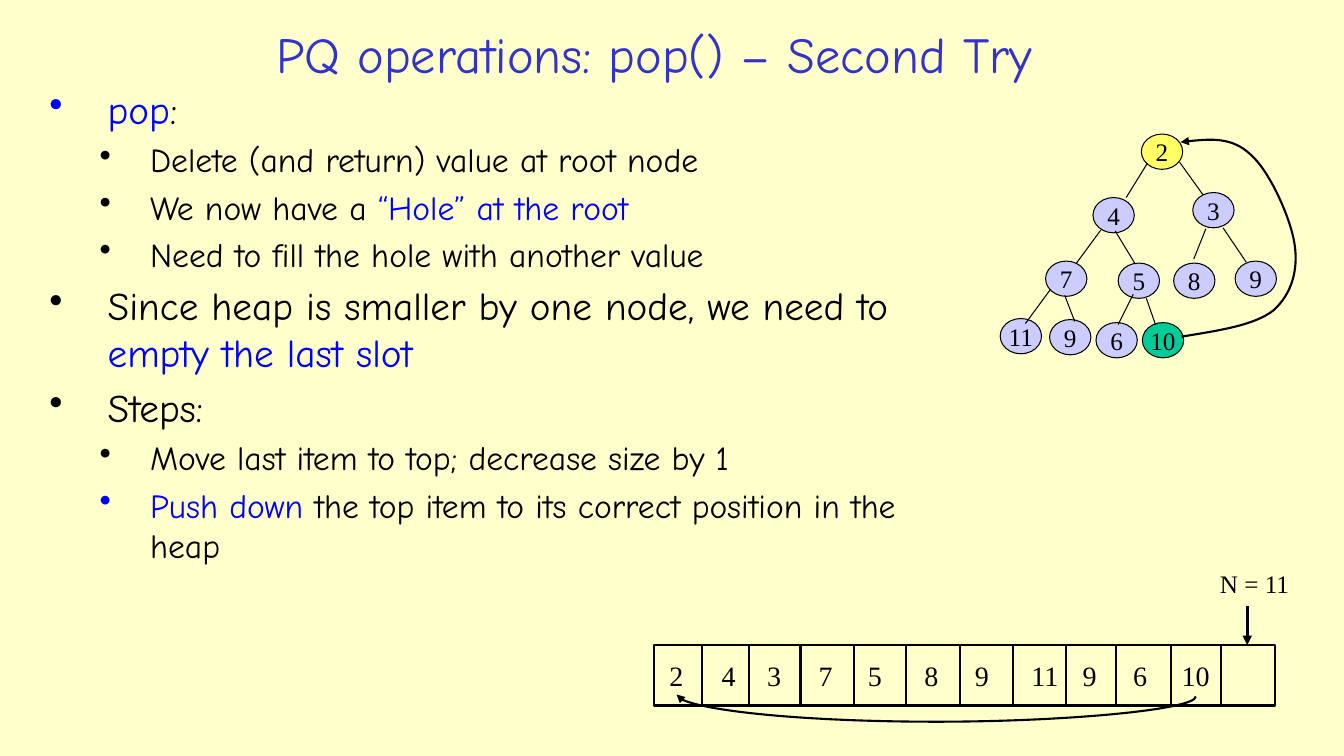
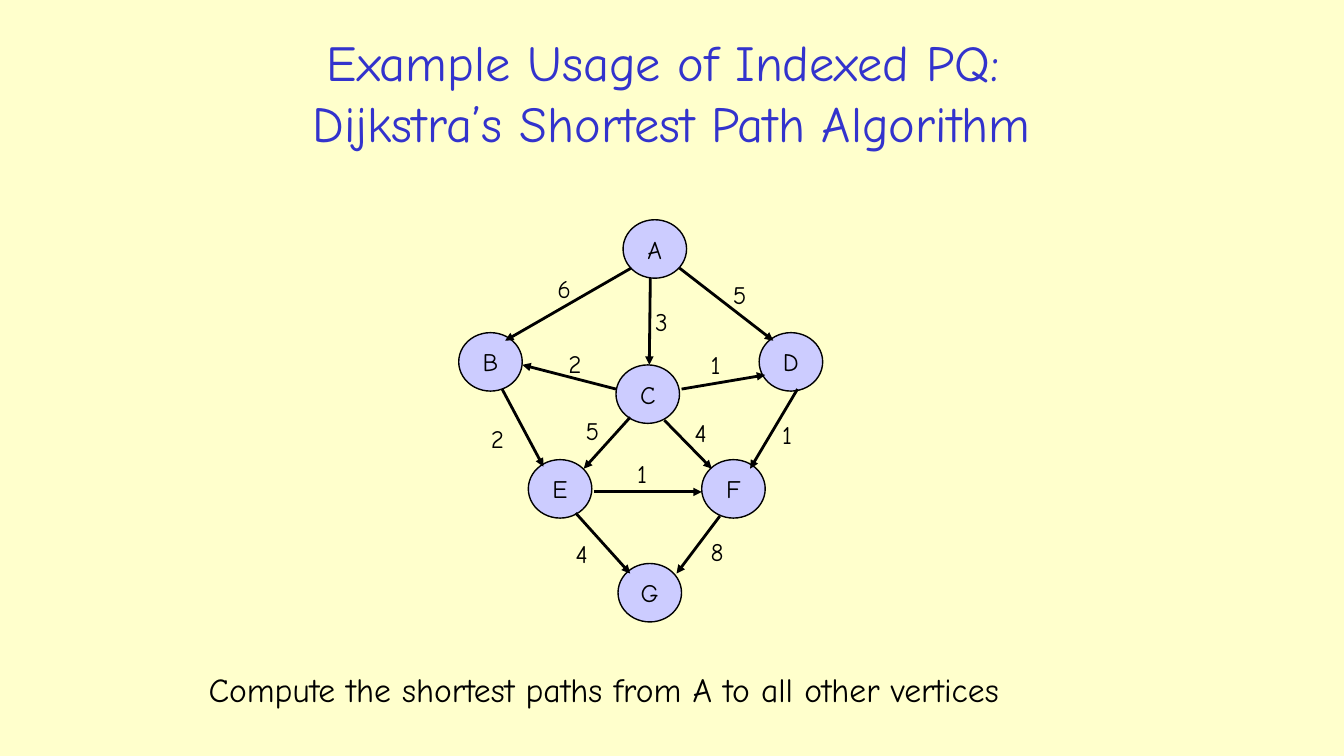
import dataclasses

import lxml.etree
import pptx
import pptx.dml.color
import pptx.enum.shapes
import pptx.enum.text
import pptx.oxml.ns
import pptx.util

Inches = pptx.util.Inches
Pt = pptx.util.Pt
qn = pptx.oxml.ns.qn
ALIGN = pptx.enum.text.PP_ALIGN
MIDDLE = pptx.enum.text.MSO_ANCHOR.MIDDLE
FIT_SHAPE = pptx.enum.text.MSO_AUTO_SIZE.SHAPE_TO_FIT_TEXT
SHAPE = pptx.enum.shapes.MSO_SHAPE
STRAIGHT = pptx.enum.shapes.MSO_CONNECTOR.STRAIGHT
rgb = pptx.dml.color.RGBColor.from_string


@dataclasses.dataclass(frozen=True)
class Theme:
    page = rgb("FFFFCC")
    title = rgb("3333CC")
    ink = rgb("000000")
    accent = rgb("0000FF")
    node = rgb("CCCCFF")
    root = rgb("FFFF66")
    last = rgb("00CC99")
    hand = "Comic Neue"
    serif = "Times New Roman"
    title_size = 36
    body_sizes = (28, 24)
    caption_size = 24
    cell_size = 20
    label_size = 18


theme = Theme()


def write(frame, text, size, font, color=theme.ink, align=ALIGN.LEFT):
    """Replace the text of a frame and format every run of it."""
    frame.text = text
    for paragraph in frame.paragraphs:
        paragraph.alignment = align
        for run in paragraph.runs:
            run.font.size = Pt(size)
            run.font.name = font
            run.font.color.rgb = color


def outline(shape, width, arrow=False):
    """Draw a plain line without shadow, with an arrowhead at its end if asked."""
    shape.line.color.rgb = theme.ink
    shape.line.width = Pt(width)
    properties = shape._element.spPr
    if arrow:
        lxml.etree.SubElement(properties.find(qn("a:ln")), qn("a:tailEnd"), type="triangle")
    lxml.etree.SubElement(properties, qn("a:effectLst"))


prs = pptx.Presentation()
prs.slide_width = Inches(13.33)
prs.slide_height = Inches(7.5)
background = prs.slide_master.background.fill
background.solid()
background.fore_color.rgb = theme.page

# Titles
slides = []
for title_text, left, width, height in [
    ("PQ operations: pop() – Second Try", 0.45, 12.08, 0.76),
    ("Example Usage of Indexed PQ: \vDijkstra’s Shortest Path Algorithm", 0.54, 12.24, 1.52),
]:
    slide = prs.slides.add_slide(prs.slide_layouts[5])
    title = slide.shapes.title
    title.left, title.top = Inches(left), Inches(0.15)
    title.width, title.height = Inches(width), Inches(height)
    title.text_frame.vertical_anchor = MIDDLE
    write(title.text_frame, title_text, theme.title_size, theme.hand, theme.title, ALIGN.CENTER)
    slides.append(slide)
heap_slide, graph_slide = slides

# Explanation of pop: level, then runs of text and colour
explanation = [
    (0, [("pop", theme.accent), (":", theme.ink)]),
    (1, [("Delete (and return) value at root node", theme.ink)]),
    (1, [("We now have a ", theme.ink), ("“Hole” at the root", theme.accent)]),
    (1, [("Need to fill the hole with another value", theme.ink)]),
    (0, [("Since heap is smaller by one node, we need to ", theme.ink),
         ("empty the last slot", theme.accent)]),
    (0, [("Steps:", theme.ink)]),
    (1, [("Move last item to top; decrease size by 1", theme.ink)]),
    (1, [("Push down ", theme.accent),
         ("the top item to its correct position in the heap", theme.ink)]),
]
indents = [(0.58, -0.58), (1, -0.5)]
body = heap_slide.shapes.add_textbox(
    Inches(0.39), Inches(0.8), Inches(9.09), Inches(5.21)).text_frame
body.word_wrap = True
for index, (level, pieces) in enumerate(explanation):
    paragraph = body.add_paragraph() if index else body.paragraphs[0]
    paragraph.level = level
    size = theme.body_sizes[level]
    if index:
        paragraph.space_before = Pt(0.2 * size)
    margin, hanging = indents[level]
    properties = paragraph._p.get_or_add_pPr()
    properties.set("marL", str(Inches(margin)))
    properties.set("indent", str(Inches(hanging)))
    lxml.etree.SubElement(properties, qn("a:buChar"), char="•")
    for text, color in pieces:
        run = paragraph.add_run()
        run.text = text
        run.font.size = Pt(size)
        run.font.name = theme.hand
        run.font.color.rgb = color

# Nodes (label, left, top, fill) and edges (start, end) of heap and graph
heap_nodes = [
    ("2", 11.32, 1.33, theme.root),
    ("4", 10.84, 1.96, theme.node),
    ("3", 11.83, 1.91, theme.node),
    ("7", 10.37, 2.59, theme.node),
    ("5", 11.09, 2.61, theme.node),
    ("8", 11.64, 2.61, theme.node),
    ("9", 12.25, 2.59, theme.node),
    ("11", 9.92, 3.16, theme.node),
    ("9", 10.41, 3.17, theme.node),
    ("6", 10.87, 3.2, theme.node),
    ("10", 11.33, 3.2, theme.last),
]
heap_edges = [
    ((11.38, 1.62), (11.17, 1.96)),
    ((11.7, 1.61), (11.93, 1.93)),
    ((10.92, 2.28), (10.67, 2.62)),
    ((11.06, 2.29), (11.26, 2.62)),
    ((11.96, 2.27), (11.84, 2.57)),
    ((12.13, 2.26), (12.36, 2.6)),
    ((10.42, 2.87), (10.17, 3.21)),
    ((10.56, 2.93), (10.66, 3.19)),
    ((11.24, 2.92), (11.09, 3.22)),
    ((11.37, 2.96), (11.46, 3.22)),
]
graph_nodes = [
    ("A", 6.18, 2.18, theme.node),
    ("B", 4.55, 3.3, theme.node),
    ("C", 6.11, 3.62, theme.node),
    ("D", 7.53, 3.3, theme.node),
    ("E", 5.24, 4.56, theme.node),
    ("F", 6.96, 4.56, theme.node),
    ("G", 6.13, 5.59, theme.node),
]
# Each graph edge is followed by its weight and the place of that weight
weighted_edges = [
    ((6.26, 2.66), (5.01, 3.38), "6", 5.43, 2.66),
    ((6.45, 2.76), (6.44, 3.62), "3", 6.4, 2.99),
    ((6.74, 2.66), (7.67, 3.38), "5", 7.17, 2.72),
    ((4.98, 3.86), (5.39, 4.63), "2", 4.77, 4.15),
    ((6.11, 3.86), (5.18, 3.62), "2", 5.54, 3.41),
    ((6.76, 3.86), (7.59, 3.72), "1", 6.95, 3.42),
    ((6.25, 4.14), (5.79, 4.65), "5", 5.71, 4.07),
    ((6.59, 4.17), (7.06, 4.65), "4", 6.79, 4.09),
    ((7.91, 3.86), (7.44, 4.65), "1", 7.66, 4.11),
    ((5.71, 5.09), (6.25, 5.69), "4", 5.61, 5.29),
    ((5.89, 4.88), (6.96, 4.88), "1", 6.22, 4.5),
    ((7.14, 5.12), (6.71, 5.69), "8", 6.95, 5.27),
]
graph_edges = [edge[:2] for edge in weighted_edges]

# Array cells: value, left of the value, right edge of the cell
cells = [
    ("2", 6.54, 6.96), ("4", 7.06, 7.43), ("3", 7.51, 7.94), ("7", 8.02, 8.47),
    ("5", 8.51, 8.99), ("8", 9.07, 9.52), ("9", 9.57, 10.05), ("11", 10.13, 10.57),
    ("9", 10.64, 11.07), ("6", 11.14, 11.61), ("10", 11.62, 12.11),
]
array_top, array_bottom = 6.4, 7
array = heap_slide.shapes.add_shape(
    SHAPE.RECTANGLE, Inches(6.49), Inches(array_top),
    Inches(6.16), Inches(array_bottom - array_top))
array.fill.background()
outline(array, 1.5)
dividers = [((right, array_top), (right, array_bottom)) for _, _, right in cells]
size_pointer = [((12.37, 6.01), (12.37, array_top))]

for slide, font, (width, height), line_width, nodes in [
    (heap_slide, theme.serif, (0.41, 0.35), 0.75, heap_nodes),
    (graph_slide, theme.hand, (0.63, 0.58), 1, graph_nodes),
]:
    for label, left, top, fill in nodes:
        node = slide.shapes.add_shape(
            SHAPE.OVAL, Inches(left), Inches(top), Inches(width), Inches(height))
        node.fill.solid()
        node.fill.fore_color.rgb = fill
        outline(node, line_width)
        node.text_frame.word_wrap = False
        node.text_frame.vertical_anchor = MIDDLE
        write(node.text_frame, label, theme.label_size, font, align=ALIGN.CENTER)

for slide, line_width, arrow, lines in [
    (heap_slide, 0.75, False, heap_edges),
    (heap_slide, 1.5, False, dividers),
    (heap_slide, 2.25, True, size_pointer),
    (graph_slide, 2, True, graph_edges),
]:
    for start, end in lines:
        connector = slide.shapes.add_connector(
            STRAIGHT, *[Inches(value) for value in start + end])
        outline(connector, line_width, arrow)

# Curved arrows from the last item to the root, as Bézier control points
for curve in [
    [(11.72, 3.34), (12.08, 3.28), (12.44, 3.23), (12.63, 3.08),
     (12.81, 2.92), (12.88, 2.68), (12.84, 2.42),
     (12.8, 2.16), (12.59, 1.69), (12.4, 1.53),
     (12.22, 1.36), (11.96, 1.38), (11.71, 1.41)],
    [(11.86, 6.91), (11.86, 7.04), (10.57, 7.16), (9.29, 7.16),
     (8, 7.16), (6.71, 7.03), (6.71, 6.89)],
]:
    start, *controls = [(Inches(x), Inches(y)) for x, y in curve]
    builder = heap_slide.shapes.build_freeform(*start)
    builder.add_line_segments(controls, close=False)
    move_arrow = builder.convert_to_shape()
    move_arrow.fill.background()
    outline(move_arrow, 1.5, arrow=True)
    segments = list(move_arrow._element.iter(qn("a:lnTo")))
    for first in range(0, len(segments), 3):
        bezier = lxml.etree.Element(qn("a:cubicBezTo"))
        segments[first].addprevious(bezier)
        for segment in segments[first:first + 3]:
            bezier.append(segment[0])
            segment.getparent().remove(segment)

# Free-standing labels: slide, text, left, top, width, size, font
labels = [(heap_slide, value, left, 6.48, 0.2 + 0.14 * len(value), theme.cell_size, theme.serif)
          for value, left, _ in cells]
labels.append((heap_slide, "N = 11", 12, 5.59, 0.9, theme.label_size, theme.serif))
labels += [(graph_slide, weight, left, top, 0.32 if weight == "1" else 0.36,
            theme.label_size, theme.hand)
           for _, _, weight, left, top in weighted_edges]
for slide, text, left, top, width, size, font in labels:
    label_frame = slide.shapes.add_textbox(
        Inches(left), Inches(top), Inches(width), Inches(0.4)).text_frame
    label_frame.word_wrap = False
    label_frame.auto_size = FIT_SHAPE
    write(label_frame, text, size, font)

task = graph_slide.shapes.add_textbox(
    Inches(1.97), Inches(6.59), Inches(9.23), Inches(0.5)).text_frame
task.word_wrap = True
write(task, "Compute the shortest paths from A to all other vertices",
      theme.caption_size, theme.hand)

prs.save("out.pptx")
